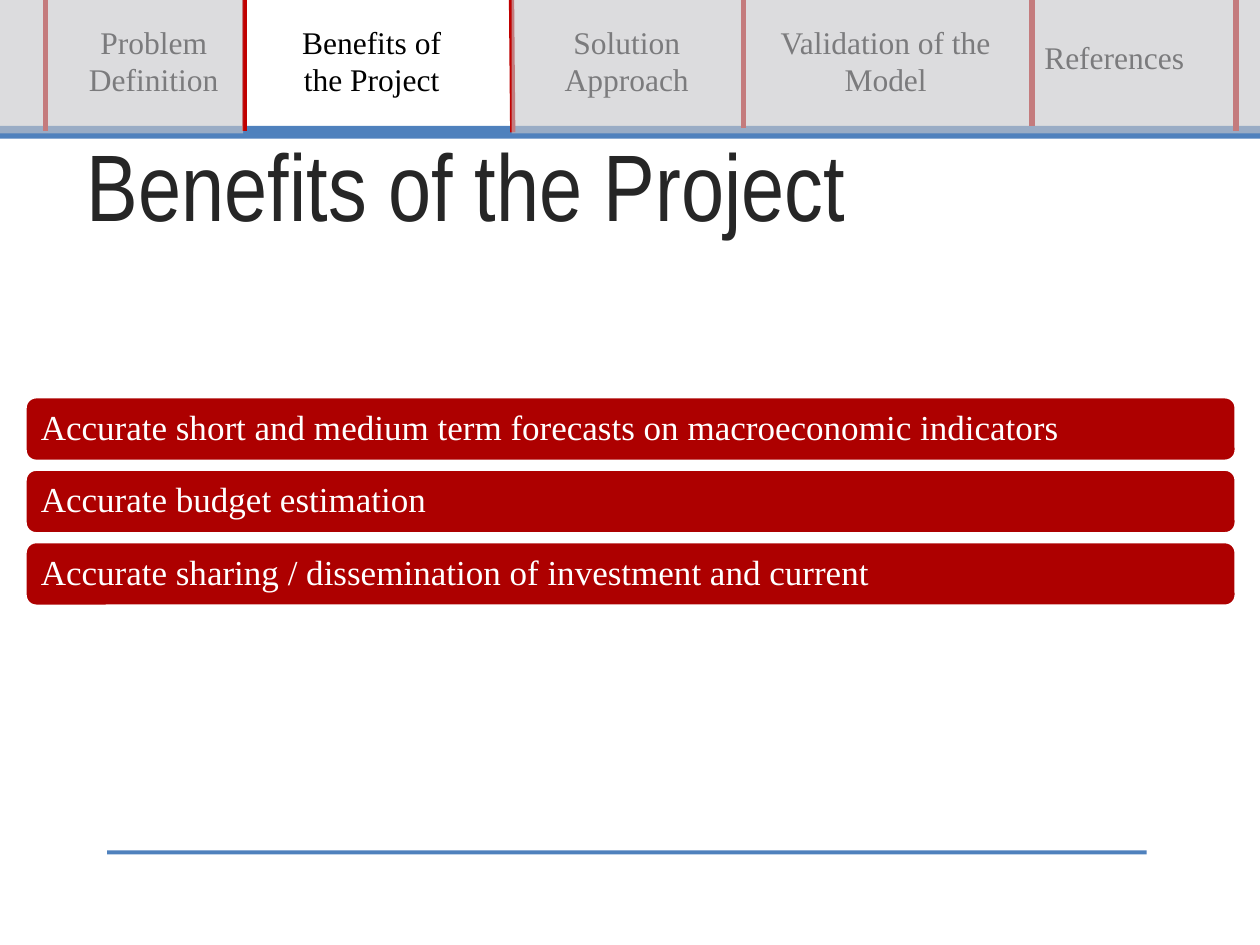
import pptx
import pptx.util
import pptx.dml.color
import pptx.oxml.ns
import pptx.enum.shapes
import pptx.enum.text
from lxml import etree

Pt = pptx.util.Pt
Align = pptx.enum.text.PP_ALIGN
Anchor = pptx.enum.text.MSO_ANCHOR
Shape = pptx.enum.shapes.MSO_SHAPE
SERIF = "Times New Roman"
COLORS = {
    "blue": "4F81BD",
    "rule": "C00000",
    "veil": "C7C7CA",
    "red": "AD0000",
    "white": "FFFFFF",
    "black": "000000",
    "title": "262626",
}
RULES = [
    (424.8, -4.3, 424.8, 73.4),
    (139.7, -3.6, 139.7, 74.9),
    (292.3, -2.9, 293, 75.6),
    (589.7, -6.5, 589.7, 72),
    (25.9, -2.9, 25.9, 74.9),
    (706.3, -3.6, 706.3, 74.9),
]
TABS = [
    ("Problem Definition", 42.5, 9.4, 90.7, 51.1, Align.CENTER),
    ("References", 589.7, 18, 96.5, 28.8, Align.LEFT),
    ("Benefits of the Project", 161.3, 9.4, 102.2, 51.1, Align.CENTER),
    ("Solution Approach", 301.7, 9.4, 113, 51.1, Align.CENTER),
    ("Validation of the Model", 433.4, 9.4, 145.4, 51.1, Align.CENTER),
]
GAINS = [
    "Accurate short and medium term forecasts on macroeconomic indicators",
    "Accurate budget estimation",
    "Accurate sharing / dissemination of investment and current",
]


def tint(name):
    return pptx.dml.color.RGBColor.from_string(COLORS[name])


def write(frame, text, size, font, color, align=Align.LEFT):
    frame.word_wrap = True
    frame.auto_size = pptx.enum.text.MSO_AUTO_SIZE.NONE
    frame.text = text
    para = frame.paragraphs[0]
    para.alignment = align
    face = para.runs[0].font
    face.size, face.name = Pt(size), font
    face.color.rgb = tint(color)
    return para


def add_box(slide, kind, x, y, w, h, color, alpha=None):
    box = slide.shapes.add_shape(kind, Pt(x), Pt(y), Pt(w), Pt(h))
    box.shadow.inherit = False
    box.fill.solid()
    box.fill.fore_color.rgb = tint(color)
    box.line.fill.background()
    if alpha:
        qn = pptx.oxml.ns.qn
        fill = box.fill._xPr.find(qn("a:solidFill"))
        etree.SubElement(fill[0], qn("a:alpha"), val=str(alpha * 1000))
    return box


def add_rule(slide, *ends):
    kind = pptx.enum.shapes.MSO_CONNECTOR.STRAIGHT
    rule = slide.shapes.add_connector(kind, *map(Pt, ends))
    rule.line.color.rgb = tint("rule")
    rule.line.width = Pt(3)
    etree.SubElement(rule._element.spPr, pptx.oxml.ns.qn("a:effectLst"))


def add_tab(slide, text, x, y, w, h, align):
    box = slide.shapes.add_textbox(Pt(x), Pt(y), Pt(w), Pt(h))
    write(box.text_frame, text, 18, SERIF, "black", align)


def add_gain(slide, text, y):
    bar = add_box(slide, Shape.ROUNDED_RECTANGLE, 14.4, y, 691.9, 36.7, "red")
    bar.adjustments[0] = 0.17
    bar.line.color.rgb = tint("white")
    bar.line.width = Pt(1.75)
    frame = bar.text_frame
    frame.margin_left = frame.margin_right = Pt(7.2)
    frame.vertical_anchor = Anchor.MIDDLE
    write(frame, text, 20, SERIF, "white").line_spacing = 0.9


def set_title(slide, text):
    title = slide.shapes.title
    title.left, title.top = Pt(42.5), Pt(15.1)
    title.width, title.height = Pt(534.2), Pt(126)
    title.text_frame.vertical_anchor = Anchor.BOTTOM
    write(title.text_frame, text, 54, "Arial Narrow", "title")


def main():
    deck = pptx.Presentation()
    deck.slide_width, deck.slide_height = Pt(720), Pt(540)
    slide = deck.slides.add_slide(deck.slide_layouts[5])
    set_title(slide, "Benefits of the Project")
    add_box(slide, Shape.RECTANGLE, 0, 72, 720, 7.2, "blue")
    add_box(slide, Shape.RECTANGLE, 61.2, 486, 594, 2.2, "blue")
    for ends in RULES:
        add_rule(slide, *ends)
    for tab in TABS:
        add_tab(slide, *tab)
    for x, w in ((292.3, 433.4), (0, 139)):
        add_box(slide, Shape.RECTANGLE, x, 0, w, 76.3, "veil", 62)
    for row, text in enumerate(GAINS):
        add_gain(slide, text, 226.8 + 41.4 * row)
    deck.save("out.pptx")


if __name__ == "__main__":
    main()
